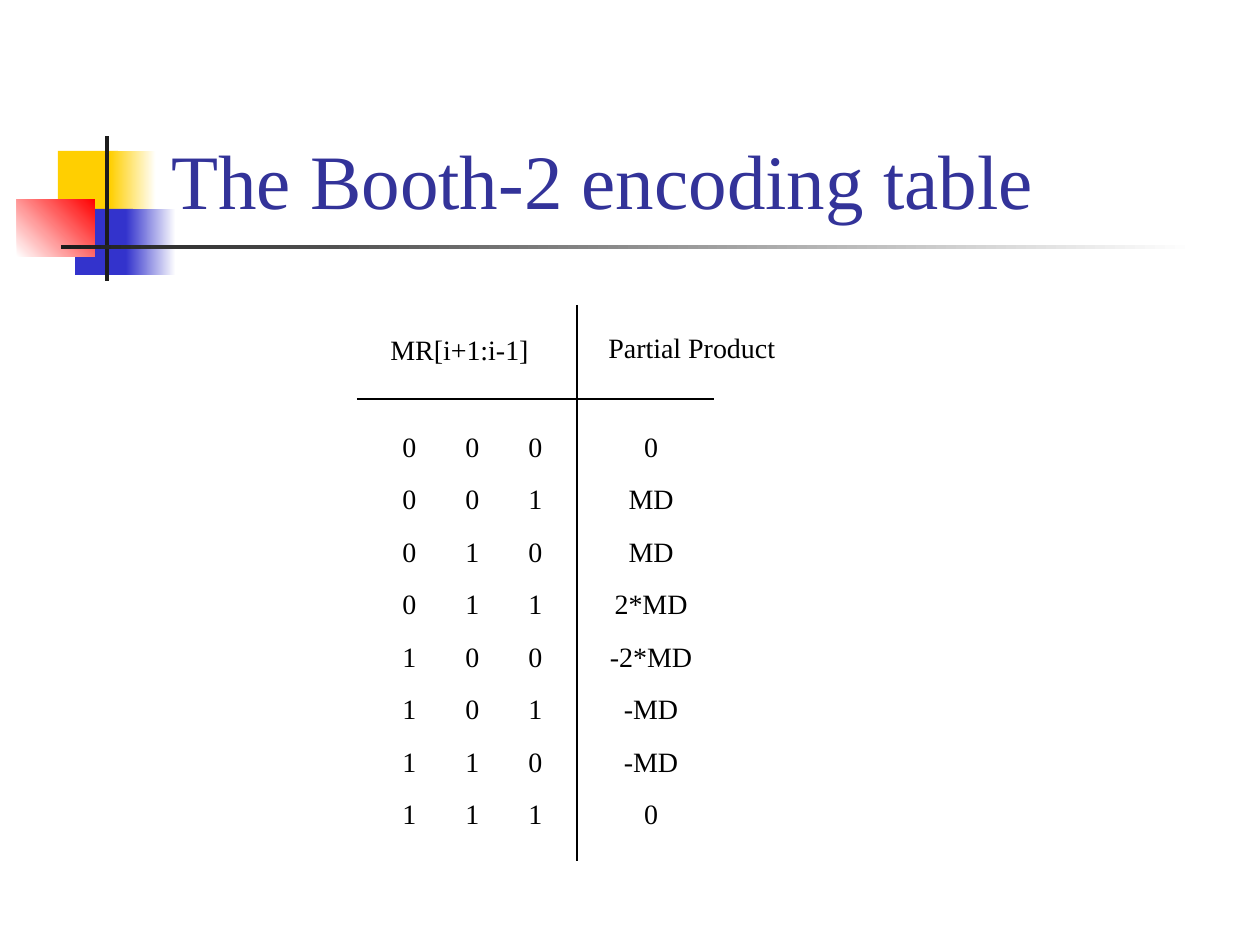
"""Build a slide showing the Booth-2 encoding table."""
from dataclasses import dataclass
from typing import Optional

from pptx import Presentation
from pptx.dml.color import RGBColor
from pptx.enum.shapes import MSO_CONNECTOR, MSO_SHAPE
from pptx.enum.text import MSO_ANCHOR, PP_ALIGN
from pptx.oxml import parse_xml
from pptx.oxml.ns import nsdecls
from pptx.slide import Slide
from pptx.util import Emu, Pt

RECTANGLE = MSO_SHAPE.RECTANGLE
STRAIGHT = MSO_CONNECTOR.STRAIGHT
TOP, MIDDLE, BOTTOM = MSO_ANCHOR.TOP, MSO_ANCHOR.MIDDLE, MSO_ANCHOR.BOTTOM
LEFT, CENTER = PP_ALIGN.LEFT, PP_ALIGN.CENTER

PX_PER_INCH = 126
FONT = "Times New Roman"

WHITE = RGBColor(0xFF, 0xFF, 0xFF)
BLACK = RGBColor(0x00, 0x00, 0x00)
CHARCOAL = RGBColor(0x1C, 0x1C, 0x1C)
YELLOW = RGBColor(0xFF, 0xCF, 0x01)
BLUE = RGBColor(0x33, 0x33, 0xCC)
RED = RGBColor(0xFF, 0x00, 0x00)
TITLE_BLUE = RGBColor(0x33, 0x33, 0x99)


@dataclass(frozen=True)
class Area:
    left: int
    top: int
    width: int
    height: int


@dataclass(frozen=True)
class Block:
    area: Area
    color: RGBColor
    fade_to: Optional[RGBColor] = None
    angle: int = 0


@dataclass(frozen=True)
class Rule:
    start: tuple[int, int]
    end: tuple[int, int]


BLOCKS = (
    Block(Area(58, 151, 60, 66), YELLOW),
    Block(Area(110, 151, 46, 66), YELLOW, WHITE),
    Block(Area(75, 209, 58, 66), BLUE),
    Block(Area(126, 209, 50, 66), BLUE, WHITE),
    Block(Area(17, 199, 78, 58), WHITE, RED, 45),
    Block(Area(105, 136, 4, 145), CHARCOAL),
    Block(Area(61, 245, 1134, 4), CHARCOAL, WHITE),
)
RULES = (Rule((357, 399), (714, 399)), Rule((577, 305), (577, 861)))

PRODUCTS = ("0", "MD", "MD", "2*MD", "-2*MD", "-MD", "-MD", "0")
BIT_COUNT = 3
GRID_LEFT, GRID_TOP, GRID_BOTTOM = 378, 420, 840
BIT_WIDTH, PRODUCT_WIDTH = 63, 168


def px(length: int) -> Emu:
    return Emu(round(length * 914400 / PX_PER_INCH))


def place(area: Area) -> tuple[Emu, Emu, Emu, Emu]:
    return px(area.left), px(area.top), px(area.width), px(area.height)


def draw_block(page: Slide, block: Block) -> None:
    shape = page.shapes.add_shape(RECTANGLE, *place(block.area))
    shape.shadow.inherit = False
    shape.line.fill.background()
    if block.fade_to is None:
        shape.fill.solid()
        shape.fill.fore_color.rgb = block.color
        return
    shape.fill.gradient()
    shape.fill.gradient_angle = block.angle
    for stop, color in zip(shape.fill.gradient_stops, (block.color, block.fade_to)):
        stop.color.rgb = color


def draw_rule(page: Slide, rule: Rule) -> None:
    ends = (px(length) for length in rule.start + rule.end)
    line = page.shapes.add_connector(STRAIGHT, *ends)
    line.line.color.rgb = BLACK
    line.line.width = Pt(0.75)
    properties = line._element.spPr
    properties.append(parse_xml(f"<a:effectLst {nsdecls('a')}/>"))


def draw_text(page: Slide, area: Area, text: str, *, size: int = 16,
              color: RGBColor = BLACK, align: PP_ALIGN = LEFT,
              anchor: MSO_ANCHOR = TOP, wrap: bool = False) -> None:
    box = page.shapes.add_textbox(*place(area))
    frame = box.text_frame
    frame.word_wrap = wrap
    frame.vertical_anchor = anchor
    para = frame.paragraphs[0]
    para.alignment = align
    span = para.add_run()
    span.text = text
    span.font.name = FONT
    span.font.size = Pt(size)
    span.font.color.rgb = color


def draw_encoding(page: Slide) -> None:
    row_count = len(PRODUCTS)
    for row, product in enumerate(PRODUCTS):
        top = GRID_TOP + (GRID_BOTTOM - GRID_TOP) * row // row_count
        left = GRID_LEFT
        for text in (*f"{row:0{BIT_COUNT}b}", product):
            width = PRODUCT_WIDTH if text is product else BIT_WIDTH
            if left == GRID_LEFT + BIT_COUNT * BIT_WIDTH:
                width = PRODUCT_WIDTH
            else:
                width = BIT_WIDTH
            draw_text(page, Area(left, top, width, 53), text,
                      align=CENTER, anchor=MIDDLE)
            left += width


def main() -> None:
    deck = Presentation()
    deck.slide_width, deck.slide_height = px(1260), px(945)
    page = deck.slides.add_slide(deck.slide_layouts[6])
    for block in BLOCKS:
        draw_block(page, block)
    draw_text(page, Area(159, 29, 1074, 202), "The Booth-2 encoding table",
              size=44, color=TITLE_BLUE, anchor=BOTTOM, wrap=True)
    draw_encoding(page)
    for rule in RULES:
        draw_rule(page, rule)
    draw_text(page, Area(378, 326, 165, 47), "MR[i+1:i-1]")
    draw_text(page, Area(596, 324, 193, 47), "Partial Product")
    deck.save("out.pptx")


if __name__ == "__main__":
    main()
